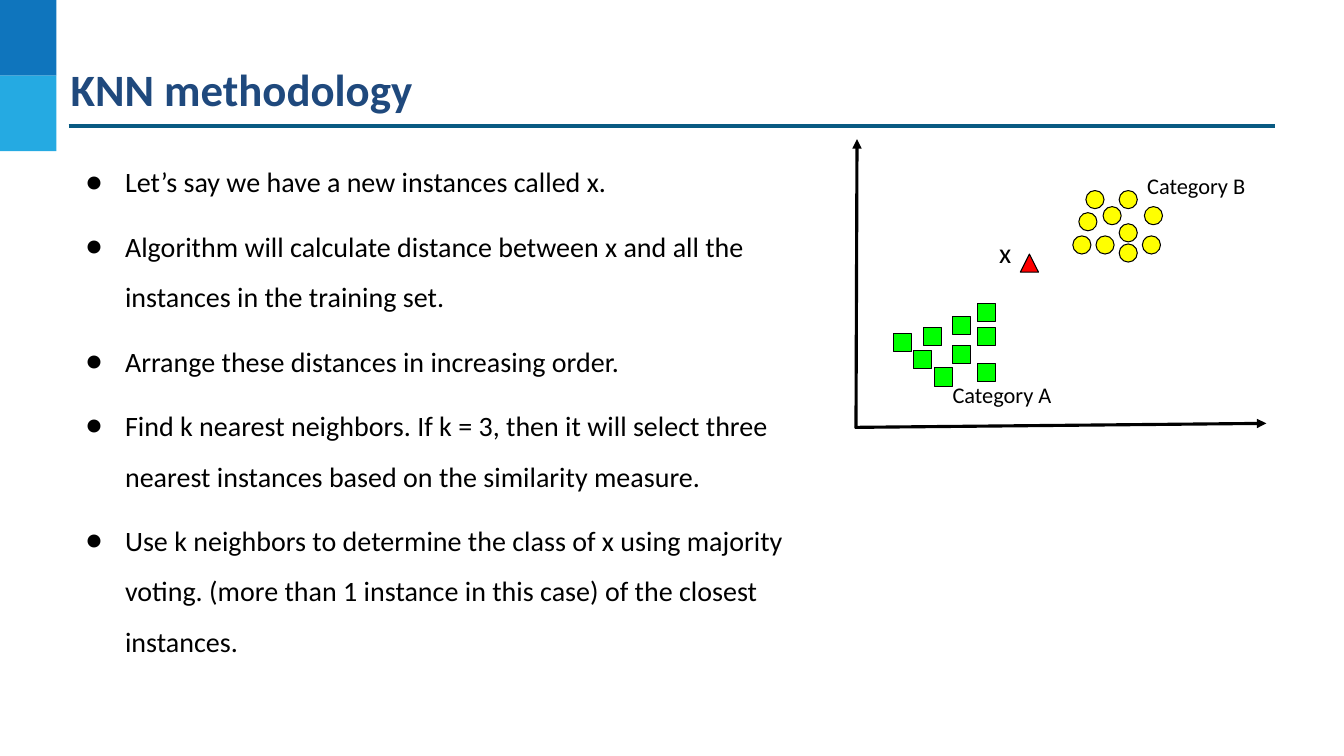
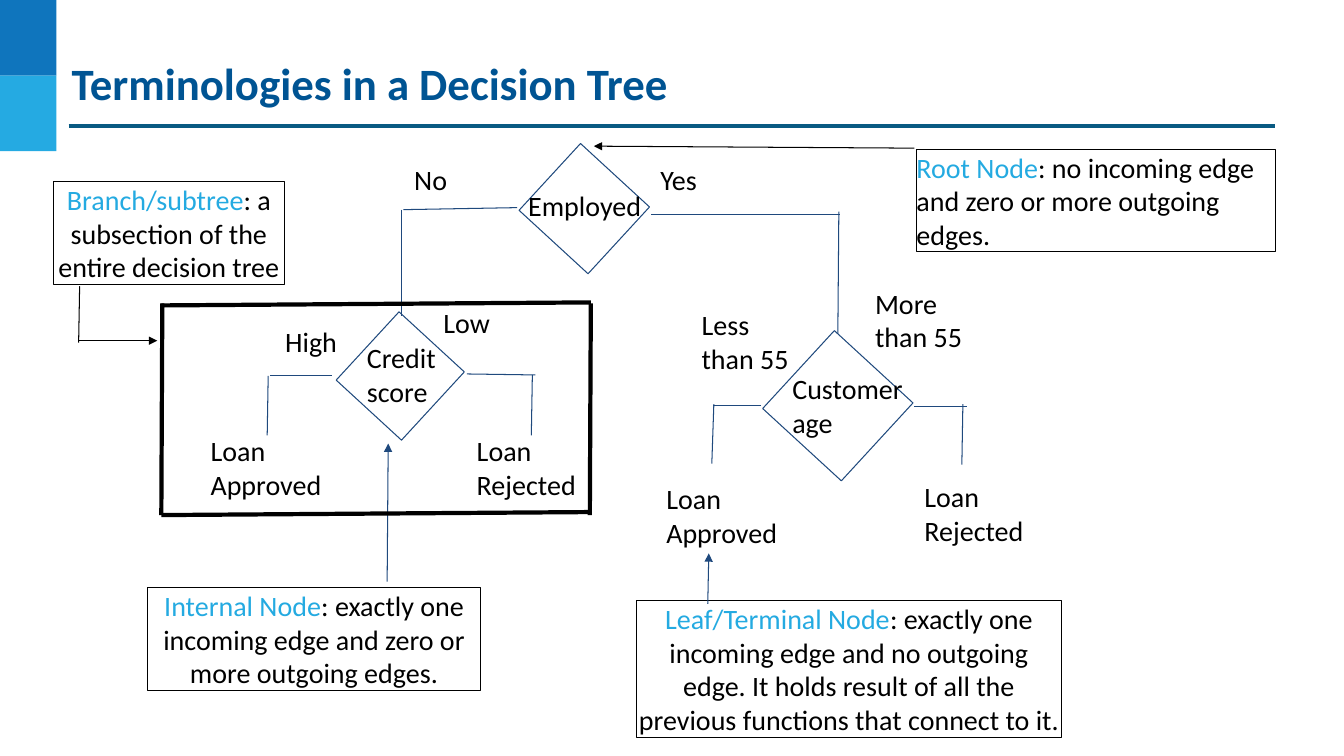
from lxml import etree
from pptx import Presentation
from pptx import util as u
from pptx.dml.color import RGBColor
from pptx.enum import shapes, text
from pptx.oxml import ns

FONT = "Calibri"
BLACK = RGBColor(0x00, 0x00, 0x00)
WHITE = RGBColor(0xFF, 0xFF, 0xFF)
NAVY = RGBColor(0x1F, 0x49, 0x7D)
TITLE_BLUE = RGBColor(0x00, 0x54, 0x93)
BAND_DARK = RGBColor(0x0F, 0x75, 0xBD)
BAND_LIGHT = RGBColor(0x25, 0xAA, 0xE2)
RULE_TEAL = RGBColor(0x09, 0x5A, 0x82)
TERM_BLUE = RGBColor(0x24, 0xAA, 0xE1)
YELLOW = RGBColor(0xFF, 0xFF, 0x00)
GREEN = RGBColor(0x00, 0xFF, 0x00)
RED = RGBColor(0xFF, 0x00, 0x00)
MARKER_SIZE = 0.18

STEPS = [
    "Let’s say we have a new instances called x.",
    "Algorithm will calculate distance between x and all the instances in the training set.",
    "Arrange these distances in increasing order.",
    "Find k nearest neighbors. If k = 3, then it will select three nearest instances based on "
    "the similarity measure.",
    "Use k neighbors to determine the class of x using majority voting. (more than 1 instance "
    "in this case) of the closest instances.",
]
CATEGORY_B = [
    (10.77, 1.89), (10.94, 2.05), (11.1, 2.22), (11.1, 1.89), (11.35, 2.05),
    (10.7, 2.11), (10.87, 2.34), (11.1, 2.42), (10.64, 2.34), (11.33, 2.34),
]
CATEGORY_A = [
    (8.86, 3.31), (9.06, 3.48), (9.27, 3.65), (9.16, 3.25), (9.45, 3.43),
    (9.45, 3.14), (9.69, 3.25), (9.69, 3.61), (9.69, 3.01),
]
DECISIONS = [
    (5.33, 1.62, 0.93, 0.9),
    (3.53, 3.27, 0.88, 0.92),
    (7.78, 3.5, 1.06, 1.05),
]
TREE_LABELS = [
    ("Employed", 5.14, 1.77, 1.42, 0.54),
    ("No", 4.01, 1.51, 0.78, 0.54),
    ("Yes", 6.45, 1.51, 0.78, 0.54),
    ("Credit score", 3.54, 3.28, 1.42, 0.88),
    ("High", 2.73, 3.12, 0.78, 0.54),
    ("Low", 4.3, 2.93, 0.78, 0.54),
    ("Loan Approved", 1.99, 4.2, 1.33, 0.88),
    ("Loan Rejected", 4.63, 4.2, 1.42, 0.88),
    ("Customer age", 7.76, 3.59, 1.35, 0.88),
    ("Less than 55", 6.86, 2.95, 1.25, 0.88),
    ("More than 55", 8.58, 2.74, 1.25, 0.88),
    ("Loan Approved", 6.51, 4.68, 1.42, 0.88),
    ("Loan Rejected", 9.07, 4.66, 1.42, 0.88),
]
BRANCHES = [
    ((5.13, 2.06), (4, 2.08)), ((3.98, 2.08), (3.98, 3.14)),
    ((8.33, 2.13), (6.46, 2.13)), ((8.32, 2.1), (8.31, 3.31)),
    ((3.29, 3.73), (2.68, 3.73)), ((2.66, 3.73), (2.65, 4.32)),
    ((4.63, 3.71), (5.31, 3.72)), ((5.28, 3.72), (5.27, 4.32)),
    ((7.55, 4.02), (7.07, 4.02)), ((7.08, 4.01), (7.06, 4.6)),
    ((9.59, 4.03), (9.07, 4.03)), ((9.55, 4.01), (9.54, 4.61)),
]
SUBTREE_FRAME = [
    ((1.6, 3.03), (5.86, 3)), ((1.6, 5.11), (5.86, 5.08)),
    ((5.85, 5.11), (5.86, 3.01)), ((1.6, 5.11), (1.61, 3.01)),
]
NOTES = [
    ("Branch/subtree", ": a subsection of the entire decision tree",
     (0.53, 1.8, 2.29, 1.02), text.PP_ALIGN.CENTER),
    ("Internal Node", ": exactly one incoming edge and zero or more outgoing edges.",
     (1.46, 5.83, 3.31, 1.02), text.PP_ALIGN.CENTER),
    ("Root Node", ": no incoming edge and zero or more outgoing edges.",
     (9.09, 1.48, 3.56, 1.02), text.PP_ALIGN.LEFT),
    ("Leaf/Terminal Node", ": exactly one incoming edge and no outgoing edge. It holds result "
     "of all the previous functions that connect to it.",
     (6.31, 5.96, 4.22, 1.36), text.PP_ALIGN.CENTER),
]
NOTE_ARROWS = [
    ((3.84, 5.77), (3.85, 4.4), NAVY),
    ((7.02, 5.99), (7.03, 5.49), NAVY),
    ((0.78, 3.38), (1.56, 3.38), BLACK),
    ((9.07, 1.47), (5.89, 1.45), BLACK),
]


def inches(values):
    return [u.Inches(value) for value in values]


def write(para, words, size=20, color=BLACK, bold=False, align=text.PP_ALIGN.LEFT):
    para.alignment = align
    span = para.add_run()
    span.text = words
    span.font.name = FONT
    span.font.size = u.Pt(size)
    span.font.bold = bold
    span.font.color.rgb = color


def prepare_frame(frame, side, top):
    frame.word_wrap = True
    frame.auto_size = text.MSO_AUTO_SIZE.NONE
    frame.vertical_anchor = text.MSO_ANCHOR.TOP
    frame.margin_left = frame.margin_right = u.Inches(side)
    frame.margin_top = frame.margin_bottom = u.Inches(top)


def place(box, area):
    box.left, box.top, box.width, box.height = inches(area)


def add_box(page, kind, area, fill=None, line=None):
    box = page.shapes.add_shape(kind, *inches(area))
    box.shadow.inherit = False
    if fill is None:
        box.fill.background()
    else:
        box.fill.solid()
        box.fill.fore_color.rgb = fill
    if line is None:
        box.line.fill.background()
    else:
        box.line.color.rgb = line
        box.line.width = u.Pt(0.75)
    return box


def add_line(page, start, end, color=BLACK, width=0.75, arrow=False):
    line = page.shapes.add_connector(
        shapes.MSO_CONNECTOR.STRAIGHT, *inches(start + end))
    line.line.color.rgb = color
    line.line.width = u.Pt(width)
    properties = line.element.spPr
    if arrow:
        outline = properties.find(ns.qn("a:ln"))
        etree.SubElement(outline, ns.qn("a:tailEnd"), type="triangle")
    etree.SubElement(properties, ns.qn("a:effectLst"))
    return line


def add_label(page, words, area, size=20):
    box = page.shapes.add_textbox(*inches(area))
    prepare_frame(box.text_frame, 0.1, 0.1)
    write(box.text_frame.paragraphs[0], words, size=size)


def add_note(page, term, meaning, area, align):
    box = add_box(page, shapes.MSO_SHAPE.RECTANGLE, area, line=BLACK)
    prepare_frame(box.text_frame, 0, 0.01)
    para = box.text_frame.paragraphs[0]
    write(para, term, color=TERM_BLUE, align=align)
    write(para, meaning, align=align)


def add_markers(page, kind, spots, fill):
    for left, top in spots:
        add_box(page, kind, (left, top, MARKER_SIZE, MARKER_SIZE), fill, BLACK)


def set_title(page, words, left, top, color):
    title = page.shapes.title
    place(title, (left, top, 12.29, 0.83))
    prepare_frame(title.text_frame, 0.02, 0.02)
    write(title.text_frame.paragraphs[0], words, size=32, color=color, bold=True)


def add_bullet(para):
    properties = para._p.get_or_add_pPr()
    properties.set("marL", str(u.Inches(0.5)))
    properties.set("indent", str(u.Inches(-0.39)))
    color = etree.SubElement(properties, ns.qn("a:buClr"))
    etree.SubElement(color, ns.qn("a:srgbClr"), val=str(BLACK))
    etree.SubElement(properties, ns.qn("a:buFont"), typeface=FONT)
    etree.SubElement(properties, ns.qn("a:buChar"), char="●")


def set_bullets(body, items, area):
    place(body, area)
    frame = body.text_frame
    prepare_frame(frame, 0.1, 0.05)
    for index, words in enumerate(items):
        para = frame.add_paragraph() if index else frame.paragraphs[0]
        add_bullet(para)
        para.line_spacing = 1.5
        para.space_before = u.Pt(10 if index else 0)
        para.space_after = u.Pt(0)
        write(para, words)


def decorate_master(deck, page):
    rectangle = shapes.MSO_SHAPE.RECTANGLE
    parts = [
        add_box(page, rectangle, (0, 0, 0.56, 0.75), BAND_DARK),
        add_box(page, rectangle, (0, 0.75, 0.56, 0.75), BAND_LIGHT),
        add_line(page, (0.68, 1.25), (12.65, 1.25), RULE_TEAL, 2.25),
    ]
    for part in parts:
        deck.slide_master.shapes.element.append(part.element)


def build_methodology(page):
    set_title(page, "KNN methodology", 0.68, 0.59, NAVY)
    set_bullets(page.placeholders[1], STEPS, (0.64, 1.42, 7.71, 5.04))
    add_line(page, (8.48, 4.24), (12.56, 4.2), width=2.25, arrow=True)
    add_line(page, (8.49, 4.25), (8.5, 1.38), width=2.25, arrow=True)
    add_markers(page, shapes.MSO_SHAPE.OVAL, CATEGORY_B, YELLOW)
    add_markers(page, shapes.MSO_SHAPE.RECTANGLE, CATEGORY_A, GREEN)
    add_markers(page, shapes.MSO_SHAPE.ISOSCELES_TRIANGLE, [(10.12, 2.52)], RED)
    add_label(page, "x", (9.81, 2.24, 0.42, 0.54))
    add_label(page, "Category B", (11.28, 1.61, 1.7, 0.47), size=16)
    add_label(page, "Category A", (9.35, 3.68, 1.7, 0.47), size=16)


def build_tree(page):
    set_title(page, "Terminologies in a Decision Tree", 0.69, 0.53, TITLE_BLUE)
    for area in DECISIONS:
        decision = add_box(page, shapes.MSO_SHAPE.FLOWCHART_PROCESS, area, WHITE, NAVY)
        decision.rotation = 42.6
    for words, *area in TREE_LABELS:
        add_label(page, words, area)
    for start, end in BRANCHES:
        add_line(page, start, end, NAVY)
    for note in NOTES:
        add_note(page, *note)
    for start, end, color in NOTE_ARROWS:
        add_line(page, start, end, color, arrow=True)
    add_line(page, (0.78, 3.4), (0.79, 2.84))
    for start, end in SUBTREE_FRAME:
        add_line(page, start, end, width=3)


def main():
    deck = Presentation()
    deck.slide_width, deck.slide_height = inches((13.33, 7.5))
    methodology = deck.slides.add_slide(deck.slide_layouts[1])
    decorate_master(deck, methodology)
    build_methodology(methodology)
    build_tree(deck.slides.add_slide(deck.slide_layouts[5]))
    deck.save("out.pptx")


if __name__ == "__main__":
    main()
